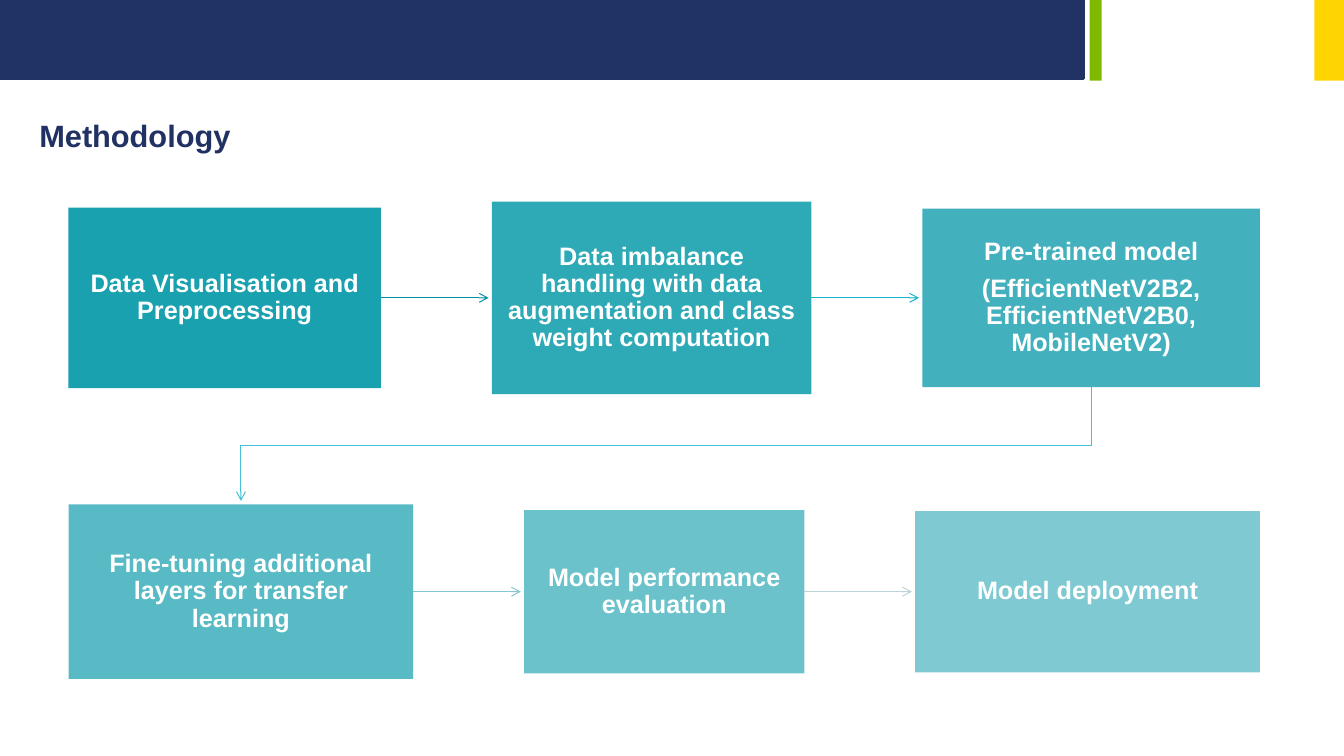
import dataclasses

import lxml.etree
import pptx
import pptx.dml.color
import pptx.enum.shapes
import pptx.enum.text
import pptx.oxml.ns
import pptx.util

# Grid: 40 columns by 30 rows on a 13.33 x 7.5 inch slide
COL = pptx.util.Inches(40 / 3) / 40
ROW = pptx.util.Inches(7.5) / 30

FONT = "Arial"
NAVY, TEAL, WHITE = "213163", "0097A7", "FFFFFF"
LEFT_COL = 2.04
GAP_COLS = 3.3
ARROW_COLS = 3.2
TIP_ROWS = 0.14
INSET = pptx.util.Inches(0.14)


@dataclasses.dataclass
class Bar:
    col: float
    cols: float
    rows: float
    fill: str
    line_pt: float = 0


@dataclasses.dataclass
class Step:
    text: str
    cols: float
    rows: float
    arrow: str = ""


@dataclasses.dataclass
class StepRow:
    mid_row: float
    steps: list[Step]


BARS = [
    Bar(0, 32.25, 3.12, "213264", 2),
    Bar(32.43, 0.36, 3.2, "7FBA00"),
    Bar(39.12, 0.88, 3.2, "FED500"),
]

STEP_ROWS = [
    StepRow(11.82, [
        Step("Data Visualisation and Preprocessing", 9.3, 7.16, "0090A0"),
        Step("Data imbalance handling with data augmentation and class "
             "weight computation", 9.51, 7.64, "14B4C9"),
        Step("Pre-trained model\n(EfficientNetV2B2, EfficientNetV2B0, MobileNetV2)",
             10.05, 7.08, "44C1D6"),
    ]),
    StepRow(23.48, [
        Step("Fine-tuning additional layers for transfer learning",
             10.26, 6.92, "85C6D2"),
        Step("Model performance evaluation", 8.34, 6.48, "BCD4D9"),
        Step("Model deployment", 10.26, 6.4),
    ]),
]


def x(cols: float) -> int:
    return round(cols * COL)


def y(rows: float) -> int:
    return round(rows * ROW)


def rgb(color: str) -> pptx.dml.color.RGBColor:
    return pptx.dml.color.RGBColor.from_string(color)


def add_rect(slide, col: float, row: float, cols: float, rows: float, fill: str):
    sp = slide.shapes.add_shape(pptx.enum.shapes.MSO_SHAPE.RECTANGLE,
                                x(col), y(row), x(cols), y(rows))
    sp.shadow.inherit = False
    sp.fill.solid()
    sp.fill.fore_color.rgb = rgb(fill)
    sp.line.fill.background()
    return sp


def set_alpha(sp, percent: int) -> None:
    clr = sp.fill._xPr.find(".//" + pptx.oxml.ns.qn("a:srgbClr"))
    lxml.etree.SubElement(clr, pptx.oxml.ns.qn("a:alpha"), val=str(percent * 1000))


def format_run(r, size: int, color: str) -> None:
    r.font.name = FONT
    r.font.size = pptx.util.Pt(size)
    r.font.bold = True
    r.font.color.rgb = rgb(color)


def style_arrow(sp, color: str) -> None:
    sp.line.color.rgb = rgb(color)
    sp.line.width = pptx.util.Pt(0.75)
    ln = sp.line._get_or_add_ln()
    lxml.etree.SubElement(ln, pptx.oxml.ns.qn("a:tailEnd"), type="arrow")


def add_bar(slide, bar: Bar) -> None:
    sp = add_rect(slide, bar.col, 0, bar.cols, bar.rows, bar.fill)
    if bar.line_pt:
        sp.line.color.rgb = rgb(bar.fill)
        sp.line.width = pptx.util.Pt(bar.line_pt)


def add_title(slide, text: str) -> None:
    sp = slide.shapes.title
    sp.left, sp.top, sp.width, sp.height = x(0.87), y(4.44), x(20), y(1.88)
    tf = sp.text_frame
    tf.text = text
    tf.word_wrap = True
    tf.auto_size = pptx.enum.text.MSO_AUTO_SIZE.SHAPE_TO_FIT_TEXT
    tf.vertical_anchor = pptx.enum.text.MSO_ANCHOR.TOP
    p = tf.paragraphs[0]
    p.alignment = pptx.enum.text.PP_ALIGN.LEFT
    format_run(p.runs[0], 22, NAVY)


def add_step(slide, step: Step, col: float, mid_row: float, alpha: int):
    sp = add_rect(slide, col, mid_row - step.rows / 2, step.cols, step.rows, TEAL)
    set_alpha(sp, alpha)
    tf = sp.text_frame
    tf.text = step.text
    tf.word_wrap = True
    tf.vertical_anchor = pptx.enum.text.MSO_ANCHOR.MIDDLE
    tf.margin_left = tf.margin_right = tf.margin_top = tf.margin_bottom = INSET
    for p in tf.paragraphs:
        p.alignment = pptx.enum.text.PP_ALIGN.CENTER
        p.line_spacing = 0.9
        p.space_after = pptx.util.Pt(7)
        for r in p.runs:
            format_run(r, 18, WHITE)
    return sp


def add_arrow(slide, box, color: str) -> None:
    begin_x, mid_y = box.left + box.width, box.top + box.height // 2
    cxn = slide.shapes.add_connector(pptx.enum.shapes.MSO_CONNECTOR.STRAIGHT,
                                     begin_x, mid_y, begin_x + x(ARROW_COLS), mid_y)
    cxn.begin_connect(box, 3)
    style_arrow(cxn, color)
    lxml.etree.SubElement(cxn._element.spPr, pptx.oxml.ns.qn("a:effectLst"))


def add_return_arrow(slide, upper, lower, color: str) -> None:
    begin_x, begin_y = upper.left + upper.width // 2, upper.top + upper.height
    end_x, end_y = lower.left + lower.width // 2, lower.top - y(TIP_ROWS)
    turn_y = (begin_y + lower.top) // 2
    builder = slide.shapes.build_freeform(begin_x, begin_y)
    builder.add_line_segments(
        [(begin_x, turn_y), (end_x, turn_y), (end_x, end_y)], close=False)
    sp = builder.convert_to_shape()
    sp.shadow.inherit = False
    sp.fill.background()
    style_arrow(sp, color)


def main() -> None:
    prs = pptx.Presentation()
    prs.slide_width, prs.slide_height = x(40), y(30)
    slide = prs.slides.add_slide(prs.slide_layouts.get_by_name("Title Only"))

    # Header and title
    for bar in BARS:
        add_bar(slide, bar)
    add_title(slide, "Methodology")

    # Step boxes, each paler than the one before
    boxes = []
    for step_row in STEP_ROWS:
        col = LEFT_COL
        for step in step_row.steps:
            alpha = 90 - 8 * len(boxes)
            boxes.append(add_step(slide, step, col, step_row.mid_row, alpha))
            col += step.cols + GAP_COLS

    # Arrows along each row, and back to the start of the next row
    steps = [step for step_row in STEP_ROWS for step in step_row.steps]
    for step, box, following in zip(steps, boxes, boxes[1:]):
        if following.left > box.left:
            add_arrow(slide, box, step.arrow)
        else:
            add_return_arrow(slide, box, following, step.arrow)

    prs.save("out.pptx")


if __name__ == "__main__":
    main()
